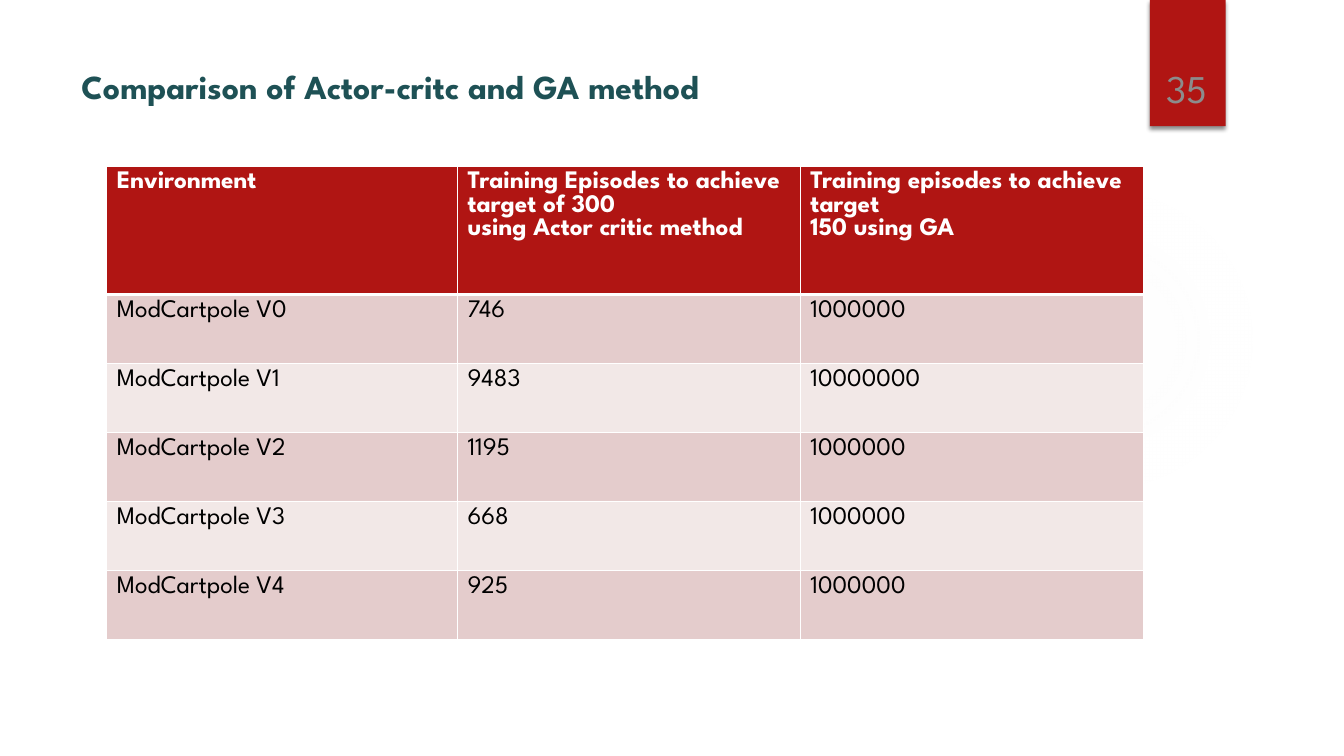
import pptx
import pptx.dml.color
import pptx.enum.shapes
import pptx.enum.text
import pptx.oxml
import pptx.oxml.ns
import pptx.util

Cm = pptx.util.Cm
Pt = pptx.util.Pt
Align = pptx.enum.text.PP_ALIGN
Anchor = pptx.enum.text.MSO_ANCHOR
Preset = pptx.enum.shapes.MSO_SHAPE

NAMESPACE = 'xmlns:a="http://schemas.openxmlformats.org/drawingml/2006/main"'
RED, TEAL, GRAY, WHITE, BLACK = "B01513", "1E5155", "8C8C8C", "FFFFFF", "000000"
GLOW = "F3F3F3"
BANDS = ("E4CCCC", "F2E8E7")

HEADER = (
    "Environment",
    "Training Episodes to achieve target of 300\nusing Actor critic method",
    "Training episodes to achieve target\n150 using GA",
)
RESULTS = (
    ("ModCartpole V0", "746", "1000000"),
    ("ModCartpole V1", "9483", "10000000"),
    ("ModCartpole V2", "1195", "1000000"),
    ("ModCartpole V3", "668", "1000000"),
    ("ModCartpole V4", "925", "1000000"),
)


def color(value):
    return pptx.dml.color.RGBColor.from_string(value)


def transparent_color(value, opacity):
    """Return the XML of a colour whose opacity is given in percent."""
    return f'<a:srgbClr val="{value}"><a:alpha val="{opacity * 1000}"/></a:srgbClr>'


class SlideBuilder:
    """Draws elements on one slide in a shared style."""

    def __init__(self, slide, font):
        self.slide = slide
        self.font = font

    def fill_frame(self, frame, text, size, text_color, bold=False, align=Align.LEFT):
        """Put styled text into a text frame."""
        frame.text = text
        for paragraph in frame.paragraphs:
            paragraph.alignment = align
            paragraph.font.color.rgb = color(text_color)
            for name, value in {"name": self.font, "size": Pt(size), "bold": bold}.items():
                setattr(paragraph.font, name, value)

    def text(self, box, text, size, text_color, frame_format, **style):
        frame = self.slide.shapes.add_textbox(*map(Cm, box)).text_frame
        for name, value in {"word_wrap": True, **frame_format}.items():
            setattr(frame, name, value)
        self.fill_frame(frame, text, size, text_color, **style)

    def shape(self, preset, box, fill):
        shape = self.slide.shapes.add_shape(preset, *map(Cm, box))
        shape.shadow.inherit = False
        shape.fill.solid()
        shape.fill.fore_color.rgb = color(fill)
        shape.line.fill.background()
        return shape

    def glow(self, box):
        """Draw a circle that fades out from its centre."""
        circle = self.shape(Preset.OVAL, box, GLOW)
        stops = "".join(
            f'<a:gs pos="{position * 1000}">{transparent_color(GLOW, opacity)}</a:gs>'
            for position, opacity in ((0, 7), (36, 6), (69, 0))
        )
        gradient = pptx.oxml.parse_xml(
            f'<a:gradFill {NAMESPACE}><a:gsLst>{stops}</a:gsLst><a:path path="circle">'
            '<a:fillToRect l="50000" t="50000" r="50000" b="50000"/></a:path></a:gradFill>'
        )
        properties = circle.element.spPr
        properties.replace(properties.find(pptx.oxml.ns.qn("a:solidFill")), gradient)

    def ribbon(self, box):
        """Draw the page number's background with a soft shadow below it."""
        ribbon = self.shape(Preset.RECTANGLE, box, RED)
        shadow = pptx.oxml.parse_xml(
            f'<a:outerShdw {NAMESPACE} blurRad="{Pt(3)}" dist="{Pt(2)}" dir="5400000" '
            f'rotWithShape="0">{transparent_color(BLACK, 45)}</a:outerShdw>'
        )
        ribbon.element.spPr.find(pptx.oxml.ns.qn("a:effectLst")).append(shadow)

    def borders(self, cell, **widths):
        for side in "LRTB":
            cell._tc.get_or_add_tcPr().append(pptx.oxml.parse_xml(
                f'<a:ln{side} {NAMESPACE} w="{Pt(widths.get(side, 1))}">'
                f'<a:solidFill><a:srgbClr val="{WHITE}"/></a:solidFill></a:ln{side}>'
            ))

    def table(self, left, top, column_widths, row_heights, rows):
        box = (left, top, sum(column_widths), sum(row_heights))
        table = self.slide.shapes.add_table(
            len(rows), len(column_widths), *map(Cm, box)
        ).table
        for column, width in zip(table.columns, column_widths):
            column.width = Cm(width)
        for index, (row, height, texts) in enumerate(zip(table.rows, row_heights, rows)):
            row.height = Cm(height)
            is_header = index == 0
            for cell, text in zip(row.cells, texts):
                self.borders(cell, T=3 if index == 1 else 1, B=3 if is_header else 1)
                cell.fill.solid()
                cell.fill.fore_color.rgb = color(RED if is_header else BANDS[(index - 1) % 2])
                self.fill_frame(cell.text_frame, text, 18, WHITE if is_header else BLACK,
                                is_header)


def main():
    presentation = pptx.Presentation()
    presentation.slide_width, presentation.slide_height = Cm(33.87), Cm(19.05)
    slide = presentation.slides.add_slide(presentation.slide_layouts[6])
    builder = SlideBuilder(slide, "League Spartan")

    builder.glow((23.9, 4.65, 7.82, 7.82))
    builder.ribbon((28.98, 0, 1.91, 3.18))
    builder.text((1.8, 1.27, 26.14, 3.89), "Comparison of Actor-critc and GA method",
                 24, TEAL, {"margin_top": Cm(0.38)}, bold=True)
    builder.table(2.69, 4.19, (8.84, 8.64, 8.64), (3.23,) + (1.74,) * len(RESULTS),
                  (HEADER, *RESULTS))
    builder.text((28.75, 0.81, 2.34, 2.13), "35", 28, GRAY,
                 {"vertical_anchor": Anchor.BOTTOM}, align=Align.CENTER)
    presentation.save("out.pptx")


if __name__ == "__main__":
    main()
